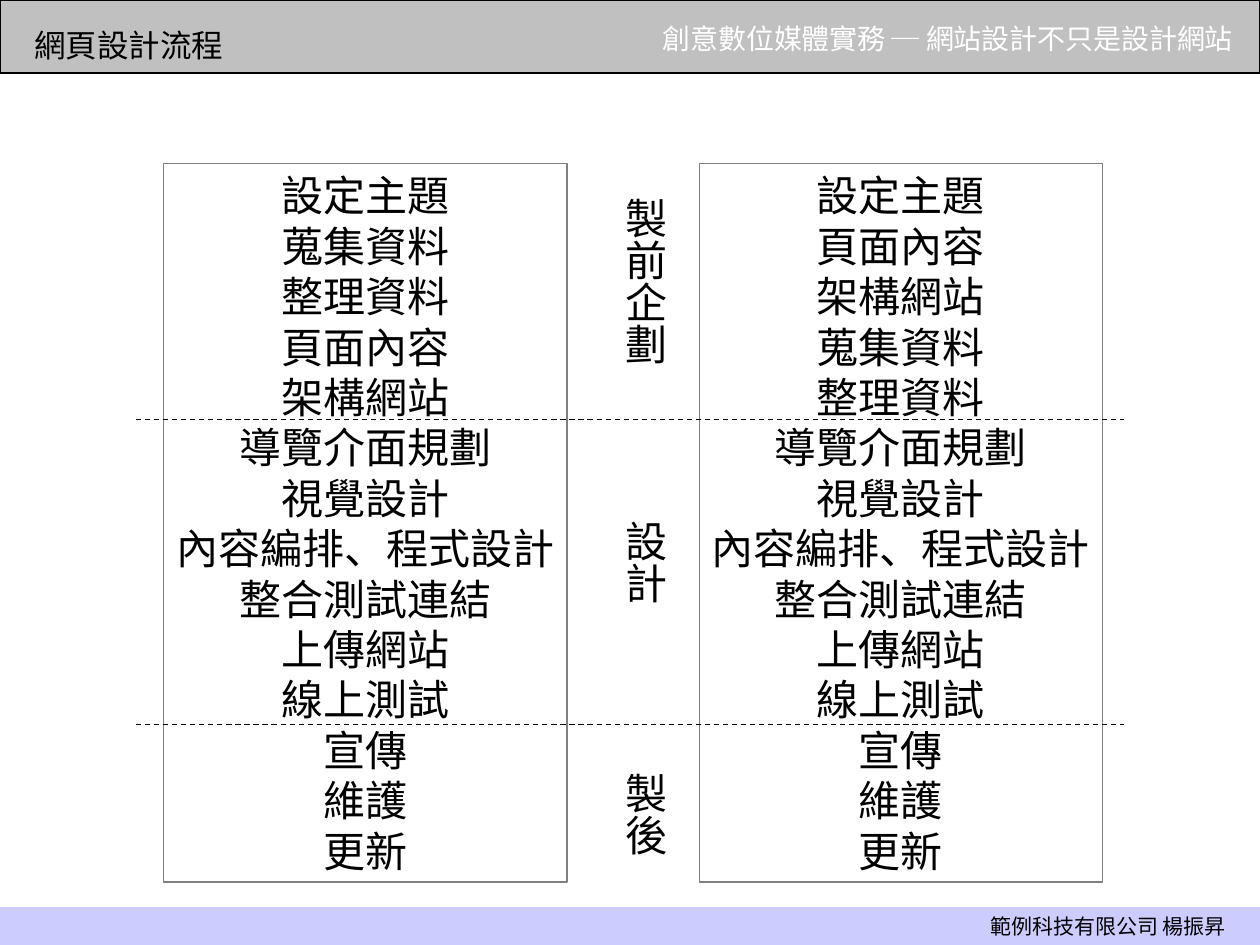
from pptx import Presentation
from pptx.dml.color import RGBColor
from pptx.enum.dml import MSO_LINE
from pptx.enum.shapes import MSO_CONNECTOR, MSO_SHAPE
from pptx.enum.text import MSO_ANCHOR, MSO_AUTO_SIZE, PP_ALIGN
from pptx.oxml.ns import qn
from pptx.util import Inches, Pt
from lxml.etree import SubElement

# Content
TITLE = "網頁設計流程"
COURSE = "創意數位媒體實務 ─ 網站設計不只是設計網站"
FOOTER = "範例科技有限公司 楊振昇"
SHARED_STEPS = ["導覽介面規劃", "視覺設計", "內容編排、程式設計", "整合測試連結",
                "上傳網站", "線上測試", "宣傳", "維護", "更新"]
# "\v" is a line break inside one paragraph
PLANS = [
    ["設定主題", "蒐集資料", "整理資料", "頁面內容", "架構網站"] + SHARED_STEPS,
    ["設定主題", "頁面內容\v架構網站", "蒐集資料", "整理資料"] + SHARED_STEPS,
]
PHASES = [("製前企劃", 1.47), ("設計", 4.03), ("製後", 6.03)]

# Layout, in inches
WIDTH, HEIGHT = 10, 7.5
HEADER_HEIGHT, FOOTER_HEIGHT = 0.58, 0.3
PLAN_LEFT, PLAN_TOP, PLAN_STEP = 1.3, 1.3, 4.25
PLAN_WIDTH, PLAN_HEIGHT = 3.2, 5.7
PHASE_LEFT, PHASE_WIDTH = 4.77, 0.6
DIVIDER_MARGIN, DIVIDER_ROWS = 1.08, [3.33, 5.75]

FONT = "Times New Roman"
COLORS = {"text": "000000", "header": "C0C0C0", "footer": "CCCCFF",
          "course": "FFFFFF", "border": "808080"}


def color(name):
    return RGBColor.from_string(COLORS[name])


def write(box, text, size, ink="text", align=PP_ALIGN.LEFT, wrap=False,
          insets=(0.1, 0.05, 0.1, 0.05)):
    frame = box.text_frame
    frame.text = text
    left, top, right, bottom = map(Inches, insets)
    formats = {"word_wrap": wrap, "auto_size": MSO_AUTO_SIZE.NONE,
               "vertical_anchor": MSO_ANCHOR.TOP, "margin_left": left,
               "margin_top": top, "margin_right": right, "margin_bottom": bottom}
    for name, value in formats.items():
        setattr(frame, name, value)
    for para in frame.paragraphs:
        para.alignment = align
        for span in para.runs:
            for name, value in {"name": FONT, "size": Pt(size)}.items():
                setattr(span.font, name, value)
            span.font.color.rgb = color(ink)


def add_rectangle(page, place, fill=None, line=None):
    box = page.shapes.add_shape(MSO_SHAPE.RECTANGLE, *map(Inches, place))
    box.shadow.inherit = False
    if fill:
        box.fill.solid()
        box.fill.fore_color.rgb = color(fill)
    else:
        box.fill.background()
    if line:
        box.line.color.rgb = color(line)
        box.line.width = Pt(0.75)
    else:
        box.line.fill.background()
    return box


def add_divider(page, row):
    divider = page.shapes.add_connector(
        MSO_CONNECTOR.STRAIGHT, Inches(DIVIDER_MARGIN), Inches(row),
        Inches(WIDTH - DIVIDER_MARGIN), Inches(row))
    divider.line.color.rgb = color("text")
    divider.line.width = Pt(0.75)
    divider.line.dash_style = MSO_LINE.DASH
    SubElement(divider.element.spPr, qn("a:effectLst"))


def main():
    deck = Presentation()
    deck.slide_width, deck.slide_height = Inches(WIDTH), Inches(HEIGHT)
    page = deck.slides.add_slide(deck.slide_layouts[5])

    # Footer and header bands
    footer = add_rectangle(
        page, (0, HEIGHT - FOOTER_HEIGHT, WIDTH, FOOTER_HEIGHT), "footer")
    write(footer, FOOTER, 12, align=PP_ALIGN.RIGHT, wrap=True,
          insets=(0.1, 0.05, 0.27, 0.05))
    add_rectangle(page, (0, 0, WIDTH, HEADER_HEIGHT), "header", "text")
    course = page.shapes.add_textbox(*map(Inches, (5.16, 0.12, 4.84, 0.64)))
    write(course, COURSE, 16, "course", wrap=True)

    # Title, brought in front of the header band
    title = page.shapes.title
    title.left, title.top, title.width, title.height = map(
        Inches, (0.17, 0.16, 2, 0.4))
    write(title, TITLE, 18)
    title.element.getparent().append(title.element)

    # Two plans side by side
    for column, steps in enumerate(PLANS):
        plan = add_rectangle(page, (PLAN_LEFT + column * PLAN_STEP, PLAN_TOP,
                                    PLAN_WIDTH, PLAN_HEIGHT), line="border")
        write(plan, "\n".join(steps), 24, align=PP_ALIGN.CENTER)

    # Phase dividers and vertical phase names
    for row in DIVIDER_ROWS:
        add_divider(page, row)
    for name, top in PHASES:
        height = len(name) / 3 + 0.1
        phase = page.shapes.add_textbox(
            *map(Inches, (PHASE_LEFT, top, PHASE_WIDTH, height)))
        write(phase, name, 24, insets=(0.05, 0.05, 0.05, 0.05))
        phase.element.txBody.bodyPr.set("vert", "eaVert")

    deck.save("out.pptx")


if __name__ == "__main__":
    main()
